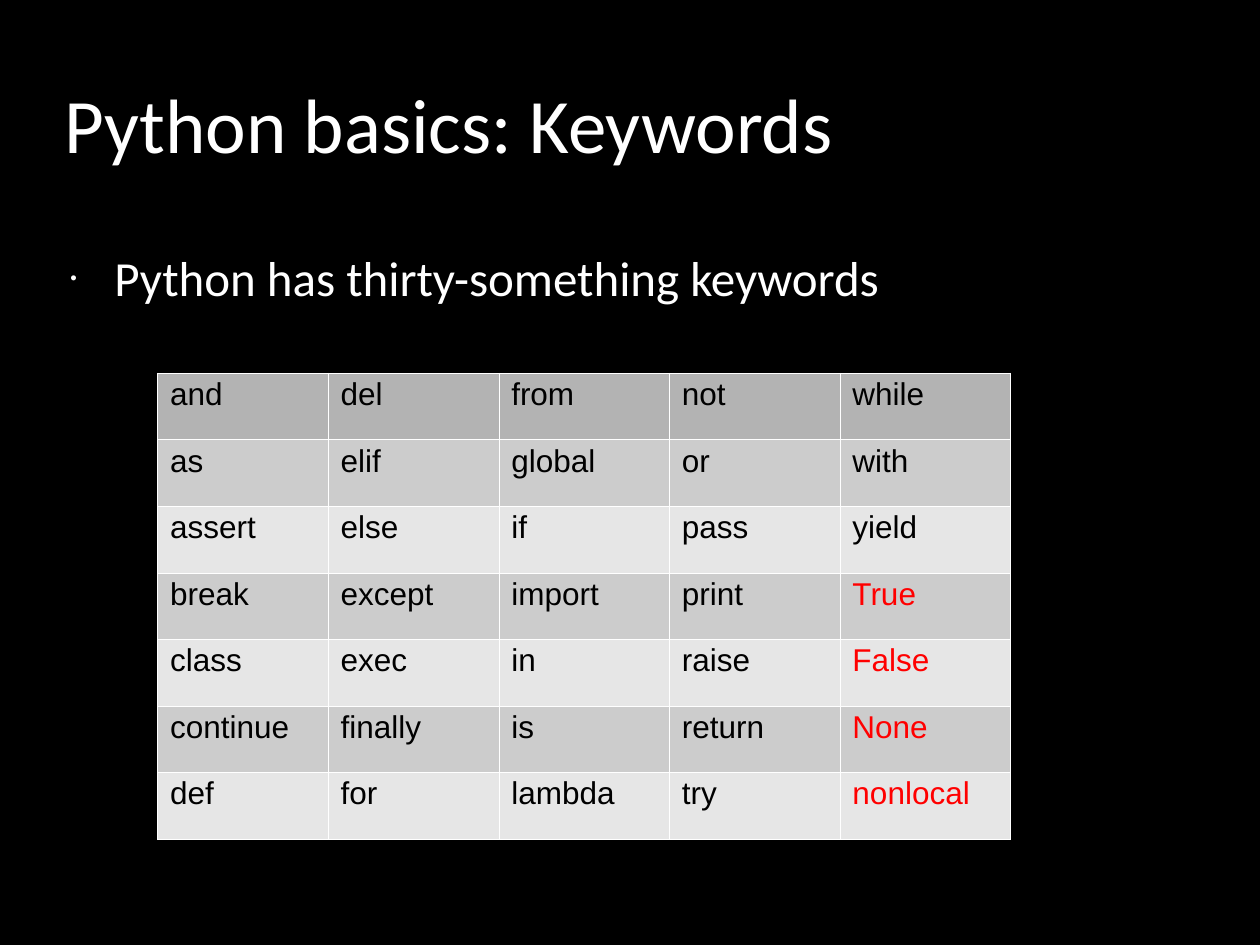
from lxml.etree import SubElement
from pptx import Presentation
from pptx.dml.color import RGBColor
from pptx.enum.text import MSO_ANCHOR
from pptx.oxml.ns import qn
from pptx.util import Inches, Pt

COLORS = {
    "background": "000000",
    "light_text": "FFFFFF",
    "dark_text": "000000",
    "highlight": "FF0000",
    "border": "FFFFFF",
    "header": "B3B3B3",
    "odd_row": "CCCCCC",
    "even_row": "E6E6E6",
}
KEYWORDS = [
    "and del from not while",
    "as elif global or with",
    "assert else if pass yield",
    "break except import print True",
    "class exec in raise False",
    "continue finally is return None",
    "def for lambda try nonlocal",
]
HIGHLIGHTED = {"True", "False", "None", "nonlocal"}


def rgb(name):
    return RGBColor.from_string(COLORS[name])


class SlideBuilder:
    """Holds the shared text style and the slide being filled."""

    line_spacing = 0.93
    heading_font = "Calibri"
    table_font = "Arial"
    border_width = Pt(0.06)

    def __init__(self, presentation):
        self.slide = presentation.slides.add_slide(presentation.slide_layouts[6])
        fill = self.slide.background.fill
        fill.solid()
        fill.fore_color.rgb = rgb("background")

    def add_text(self, paragraph, text, color, **font_format):
        paragraph.line_spacing = self.line_spacing
        run = paragraph.add_run()
        run.text = text
        for name, value in font_format.items():
            setattr(run.font, name, value)
        run.font.color.rgb = rgb(color)

    def text_box(self, text, left, top, width, height, size, anchor=MSO_ANCHOR.TOP):
        box = self.slide.shapes.add_textbox(
            Inches(left), Inches(top), Inches(width), Inches(height))
        frame = box.text_frame
        frame.word_wrap = True
        frame.vertical_anchor = anchor
        paragraph = frame.paragraphs[0]
        self.add_text(paragraph, text, "light_text",
                      name=self.heading_font, size=Pt(size))
        return paragraph

    def bullet(self, paragraph):
        paragraph.space_before = Pt(10)
        properties = paragraph._p.get_or_add_pPr()
        properties.set("marL", str(Inches(0.47)))
        properties.set("indent", str(Inches(-0.35)))
        color = SubElement(properties, qn("a:buClr"))
        SubElement(color, qn("a:srgbClr"), val=COLORS["light_text"])
        SubElement(properties, qn("a:buSzPct"), val="38000")
        SubElement(properties, qn("a:buFont"), typeface=self.table_font)
        SubElement(properties, qn("a:buChar"), char="•")

    def cell_borders(self, cell):
        properties = cell._tc.get_or_add_tcPr()
        for side in ("lnL", "lnR", "lnT", "lnB"):
            line = SubElement(properties, qn(f"a:{side}"), w=str(self.border_width))
            fill = SubElement(line, qn("a:solidFill"))
            SubElement(fill, qn("a:srgbClr"), val=COLORS["border"])

    def keyword_table(self, rows, left, top, width, height):
        table = self.slide.shapes.add_table(
            len(rows), len(rows[0]),
            Inches(left), Inches(top), Inches(width), Inches(height)).table
        for row_index, words in enumerate(rows):
            row_color = "odd_row" if row_index % 2 else "even_row"
            for column_index, word in enumerate(words):
                cell = table.cell(row_index, column_index)
                self.cell_borders(cell)
                cell.fill.solid()
                cell.fill.fore_color.rgb = rgb(row_color if row_index else "header")
                color = "highlight" if word in HIGHLIGHTED else "dark_text"
                self.add_text(cell.text_frame.paragraphs[0], word, color,
                              name=self.table_font, size=Pt(18), bold=False)


def main():
    presentation = Presentation()
    presentation.slide_width = Inches(10)
    presentation.slide_height = Inches(7.5)
    builder = SlideBuilder(presentation)
    builder.text_box("Python basics: Keywords", 0.41, 0.39, 9.12, 1.25, 44,
                     MSO_ANCHOR.MIDDLE)
    statement = builder.text_box("Python has thirty-something keywords",
                                 0.34, 1.96, 8.59, 4.85, 28)
    builder.bullet(statement)
    builder.keyword_table([row.split() for row in KEYWORDS], 1.25, 2.96, 6.77, 3.7)
    presentation.save("out.pptx")


if __name__ == "__main__":
    main()
